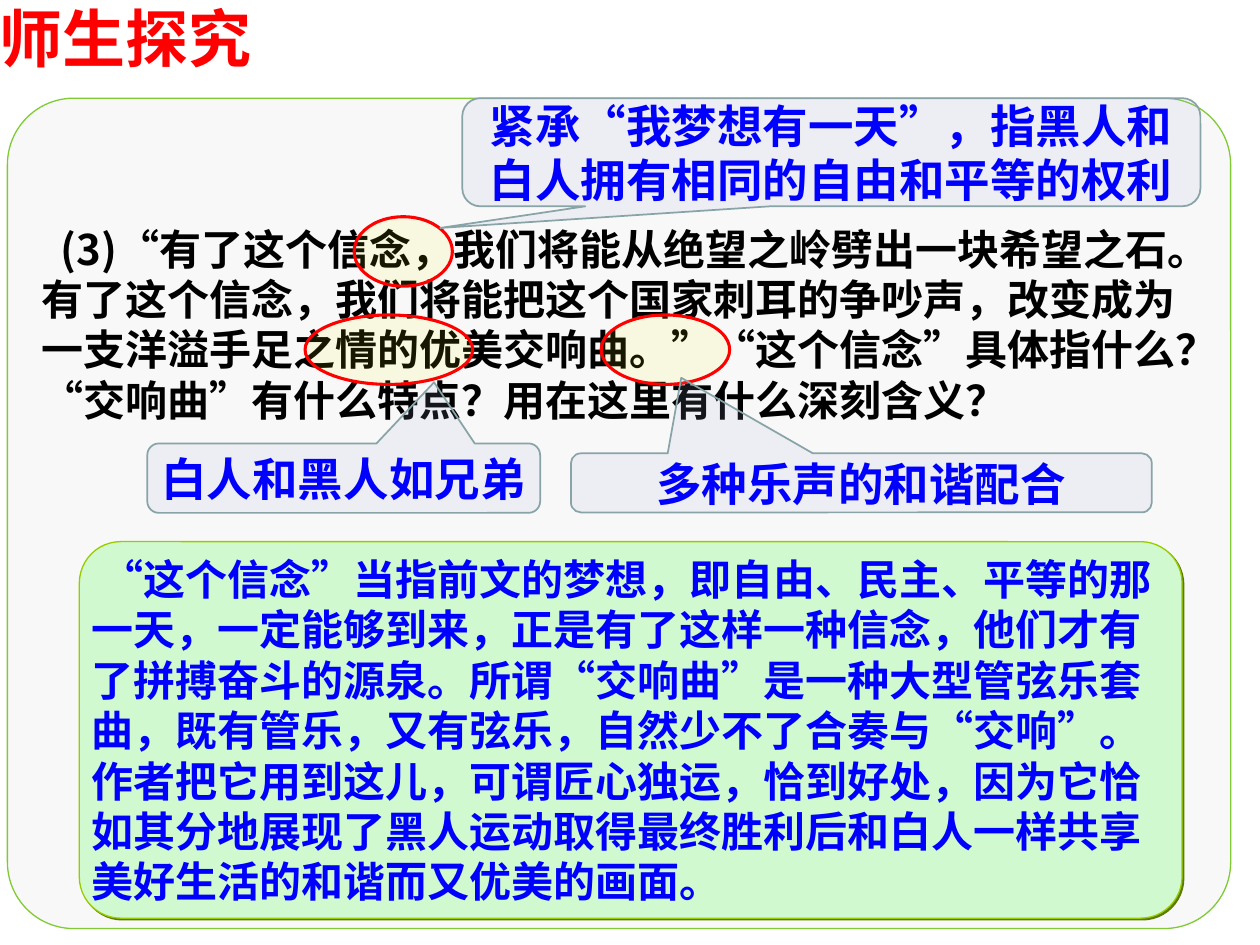
from dataclasses import dataclass

from lxml import etree
from pptx import Presentation
from pptx.dml.color import RGBColor
from pptx.enum.shapes import MSO_SHAPE
from pptx.enum.text import MSO_ANCHOR, PP_ALIGN
from pptx.oxml.ns import qn
from pptx.util import Cm, Pt

ROUNDED = MSO_SHAPE.ROUNDED_RECTANGLE
ELLIPSE = MSO_SHAPE.OVAL
CALLOUT = MSO_SHAPE.ROUNDED_RECTANGULAR_CALLOUT
TOP, MIDDLE = MSO_ANCHOR.TOP, MSO_ANCHOR.MIDDLE
LEFT, CENTER = PP_ALIGN.LEFT, PP_ALIGN.CENTER


@dataclass(frozen=True)
class Theme:
    latin: str = "Arial"
    chinese: str = "Noto Sans CJK SC"
    title_size: int = 36
    note_size: int = 26
    body_size: int = 24
    title: str = "FF0000"
    title_shadow: str = "808080"
    body: str = "000000"
    answer: str = "0000FF"
    panel_fill: str = "F8F8F8"
    panel_line: str = "80CB35"
    ring_fill: str = "FFFF00"
    ring_line: str = "FF0000"
    note_fill: str = "A3A3E0"
    note_line: str = "89A4A7"
    answer_fill: str = "D1F9CF"
    answer_line: str = "99CC00"
    answer_shadow: str = "5C7A00"


THEME = Theme()

TITLE = "师生探究"
QUESTION = (
    "(3)“有了这个信念，我们将能从绝望之岭劈出一块希望之石。"
    "有了这个信念，我们将能把这个国家刺耳的争吵声，"
    "改变成为一支洋溢手足之情的优美交响曲。”"
    "“这个信念”具体指什么？“交响曲”有什么特点？用在这里有什么深刻含义？"
)
ANSWER = (
    "“这个信念”当指前文的梦想，即自由、民主、平等的那一天，一定能够到来，"
    "正是有了这样一种信念，他们才有了拼搏奋斗的源泉。"
    "所谓“交响曲”是一种大型管弦乐套曲，既有管乐，又有弦乐，"
    "自然少不了合奏与“交响”。作者把它用到这儿，可谓匠心独运，恰到好处，"
    "因为它恰如其分地展现了黑人运动取得最终胜利后和白人一样"
    "共享美好生活的和谐而又优美的画面。"
)
# Ring (left, top, width), then note text, its area and its tip
NOTES = [
    ((7.14, 4.37, 1.98), "紧承“我梦想有一天”，指黑人和白人拥有相同的自由和平等的权利",
     (9.32, 1.98, 14.88, 2.18), (-0.53, 0.7)),
    ((6.15, 6.35, 3.38), "白人和黑人如兄弟",
     (2.97, 8.94, 7.92, 1.4), (0.23, -1.38)),
    ((12.12, 6.35, 2.59), "多种乐声的和谐配合",
     (11.51, 9.14, 11.71, 1.19), (-0.31, -1.78)),
]
RING_HEIGHT = 1.4


def add_effect_shadow(effects, color, distance):
    shadow = etree.SubElement(effects, qn("a:outerShdw"), dist=str(distance),
                              dir="2700000", algn="tl", rotWithShape="0")
    etree.SubElement(shadow, qn("a:srgbClr"), val=color)


def add_shape(page, kind, area, fill, line, line_width, alpha=None):
    """Add a filled, outlined shape; alpha is its opacity in percent."""
    shape = page.shapes.add_shape(kind, *map(Cm, area))
    shape.shadow.inherit = False
    shape.fill.solid()
    shape.fill.fore_color.rgb = RGBColor.from_string(fill)
    if alpha is not None:
        color = shape.fill._xPr.find(qn("a:solidFill"))[0]
        etree.SubElement(color, qn("a:alpha"), val=str(alpha * 1000))
    shape.line.color.rgb = RGBColor.from_string(line)
    shape.line.width = Pt(line_width)
    return shape


def write_text(box, text, size, color, font, align=LEFT, anchor=MIDDLE,
               insets=(0, 0), indent=0):
    """Write one bold paragraph; insets are horizontal and vertical."""
    frame = box.text_frame
    frame.word_wrap = True
    frame.vertical_anchor = anchor
    frame.margin_left = frame.margin_right = Cm(insets[0])
    frame.margin_top = frame.margin_bottom = Cm(insets[1])
    para = frame.paragraphs[0]
    para.alignment = align
    if indent:
        para._p.get_or_add_pPr().set("indent", str(Cm(indent)))
    span = para.add_run()
    span.text = text
    span.font.size = Pt(size)
    span.font.bold = True
    span.font.color.rgb = RGBColor.from_string(color)
    span.font.name = font
    properties = span._r.get_or_add_rPr()
    properties.set("lang", "zh-CN")
    latin = properties.find(qn("a:latin"))
    latin.addnext(etree.Element(qn("a:ea"), typeface=THEME.chinese))
    return span


def add_title(page):
    box = page.shapes.add_textbox(0, 0, Cm(8.51), Cm(1.52))
    span = write_text(box, TITLE, THEME.title_size, THEME.title, THEME.latin,
                      anchor=TOP)
    effects = etree.Element(qn("a:effectLst"))
    add_effect_shadow(effects, THEME.title_shadow, Pt(2))
    span._r.rPr.find(qn("a:solidFill")).addnext(effects)


def add_question(page):
    box = page.shapes.add_textbox(Cm(0.58), Cm(4.37), Cm(23.83), Cm(4.32))
    write_text(box, QUESTION, THEME.body_size, THEME.body, THEME.chinese,
               anchor=TOP, insets=(0.25, 0.13), indent=0.4)


def add_note(page, ring, text, area, tip):
    """Ring a phrase and explain it in a callout."""
    add_shape(page, ELLIPSE, (*ring, RING_HEIGHT), THEME.ring_fill,
              THEME.ring_line, 1.75, alpha=9)
    note = add_shape(page, CALLOUT, area, THEME.note_fill, THEME.note_line,
                     1, alpha=13)
    note.adjustments[0], note.adjustments[1] = tip
    write_text(note, text, THEME.note_size, THEME.answer, THEME.latin,
               align=CENTER)


def add_answer(page):
    box = add_shape(page, ROUNDED, (1.6, 10.92, 22.23, 7.59),
                    THEME.answer_fill, THEME.answer_line, 0.75)
    box.adjustments[0] = 0.11
    effects = box._element.spPr.find(qn("a:effectLst"))
    add_effect_shadow(effects, THEME.answer_shadow, Pt(1.4))
    write_text(box, ANSWER, THEME.body_size, THEME.answer, THEME.chinese,
               indent=0.2)


def main():
    deck = Presentation()
    deck.slide_width, deck.slide_height = Cm(25.4), Cm(19.05)
    page = deck.slides.add_slide(deck.slide_layouts[6])
    panel = add_shape(page, ROUNDED, (0.15, 1.98, 24.66, 16.74),
                      THEME.panel_fill, THEME.panel_line, 0.75)
    panel.adjustments[0] = 0.08
    add_title(page)
    add_question(page)
    for note in NOTES:
        add_note(page, *note)
    add_answer(page)
    deck.save("out.pptx")


if __name__ == "__main__":
    main()
